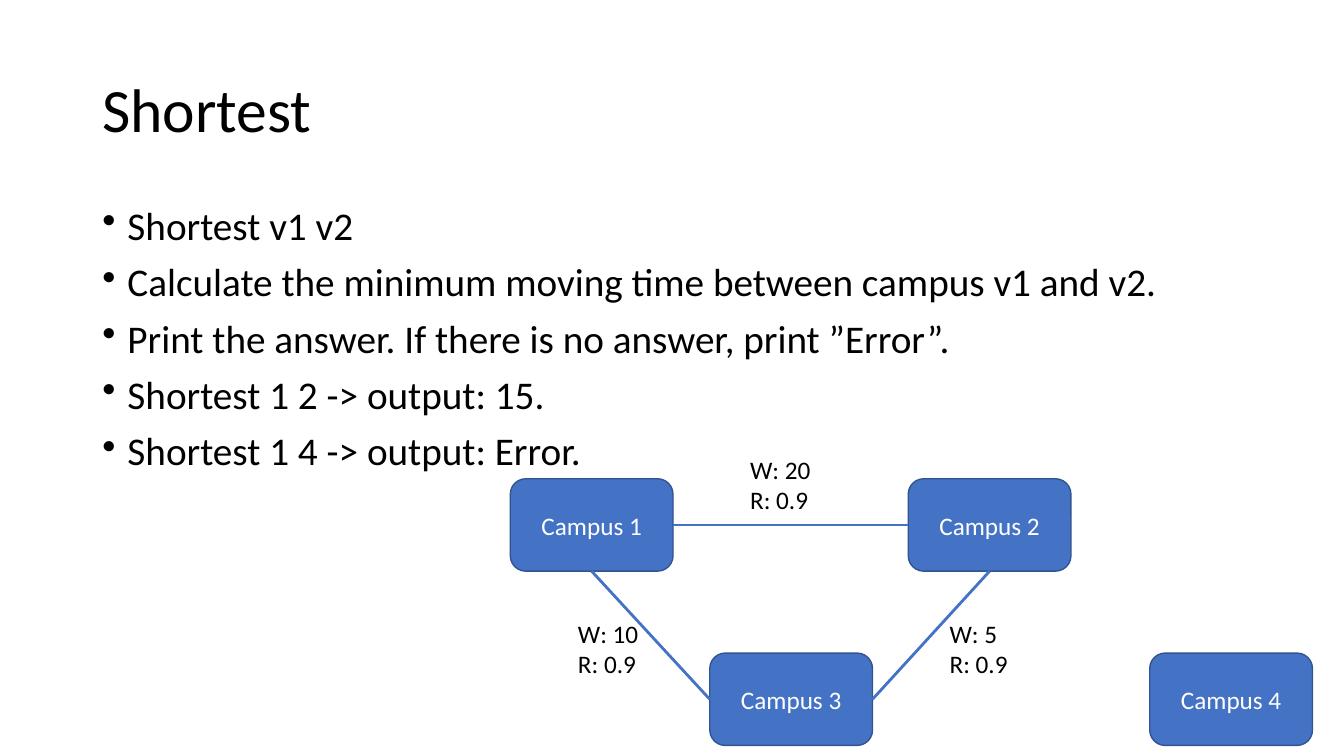
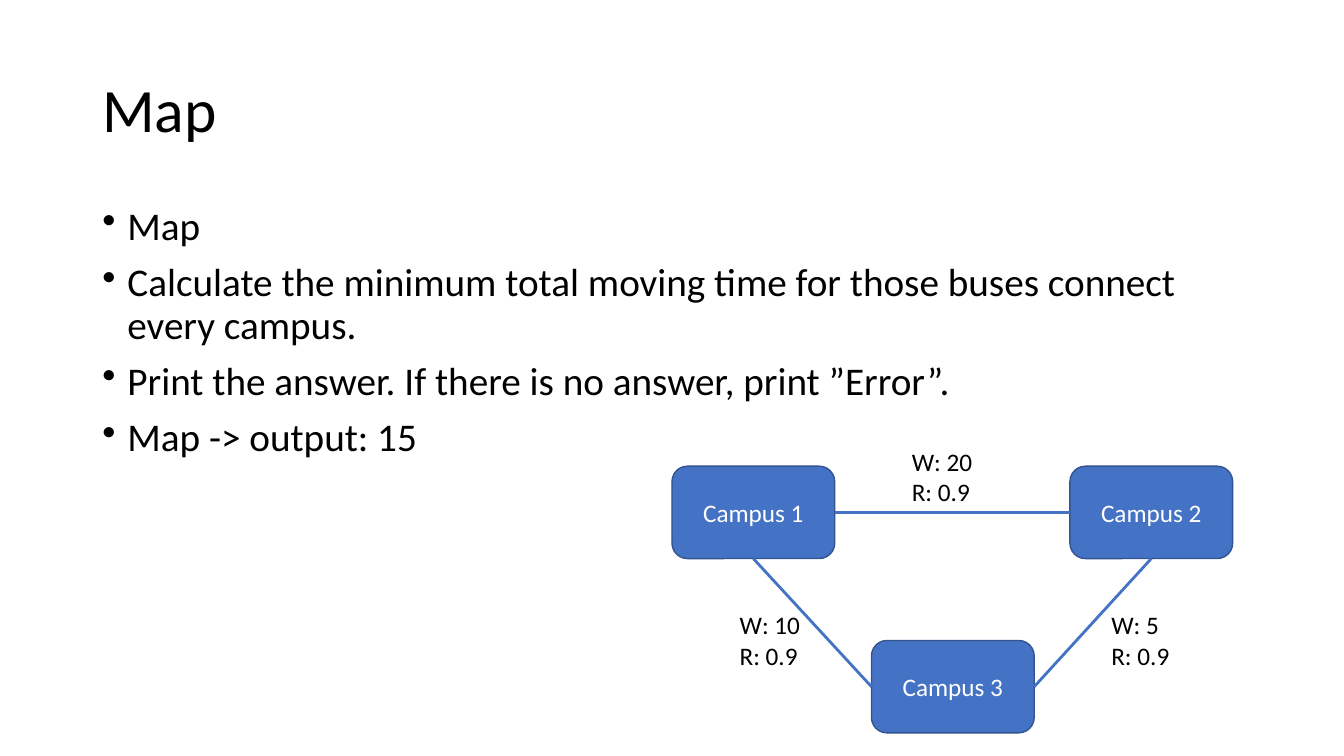
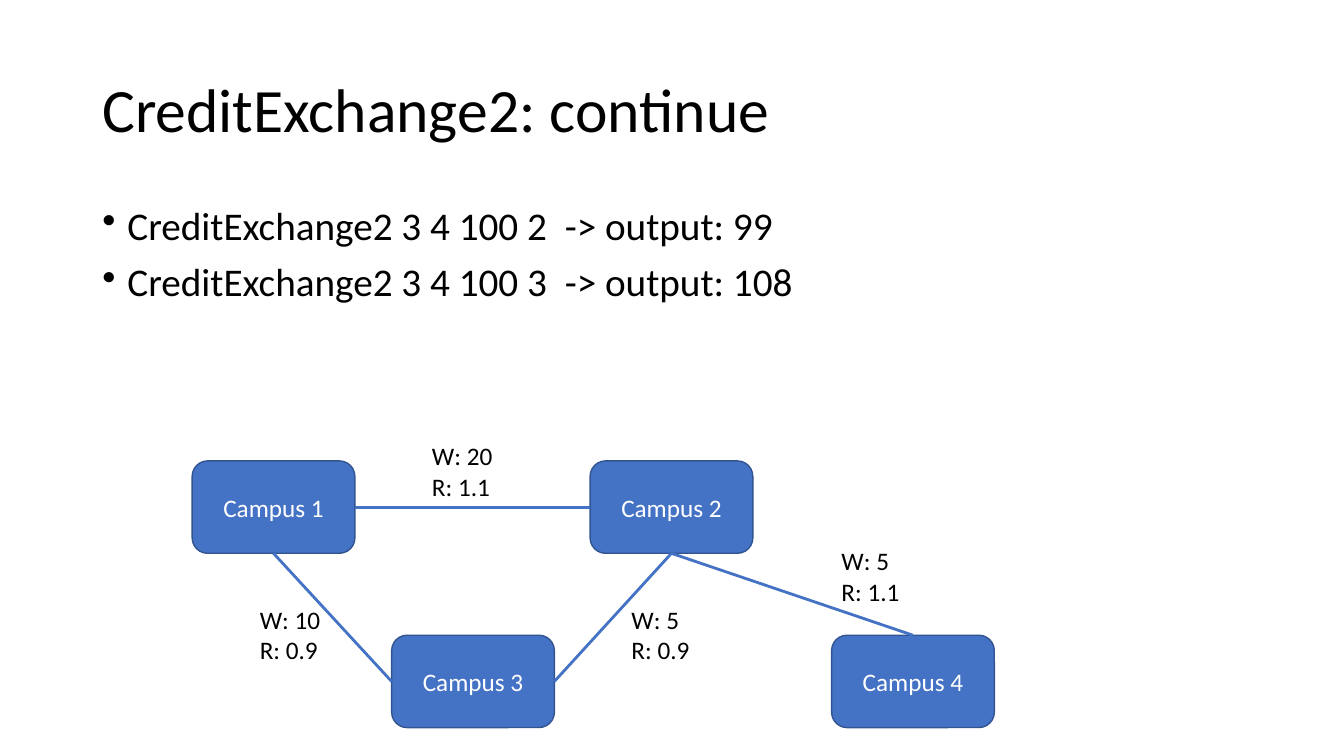
from dataclasses import dataclass

from lxml import etree
from pptx import Presentation
from pptx.dml.color import RGBColor
from pptx.enum.shapes import MSO_CONNECTOR, MSO_SHAPE
from pptx.enum.text import MSO_ANCHOR, PP_ALIGN
from pptx.oxml.ns import qn
from pptx.util import Emu, Pt

STRAIGHT = MSO_CONNECTOR.STRAIGHT
ROUNDED = MSO_SHAPE.ROUNDED_RECTANGLE
MIDDLE, TOP_ANCHOR = MSO_ANCHOR.MIDDLE, MSO_ANCHOR.TOP
CENTER, LEFT_ALIGN = PP_ALIGN.CENTER, PP_ALIGN.LEFT
TOP, LEFT, BOTTOM, RIGHT = range(4)


@dataclass(frozen=True)
class Theme:
    font: str = "Calibri"
    text: RGBColor = RGBColor(0x00, 0x00, 0x00)
    campus_text: RGBColor = RGBColor(0xFF, 0xFF, 0xFF)
    campus_fill: RGBColor = RGBColor(0x44, 0x72, 0xC4)
    campus_line: RGBColor = RGBColor(0x32, 0x54, 0x91)
    route: RGBColor = RGBColor(0x44, 0x72, 0xC4)
    title_size: int = 44
    body_size: int = 28
    graph_size: int = 18
    campus_line_width: int = 1
    route_width: int = 2
    line_spacing: float = 0.9
    bullet_gap: int = 10


THEME = Theme()
PX = 9525
SLIDE_SIZE = (1280, 720)
TITLE_BOX = (88, 38, 1104, 139)
BODY_BOX = (88, 192, 1104, 457)
BULLET_INDENT = 24
CAMPUS_SIZE = (155, 88)
LABEL_SIZE = (96, 68)

# Offsets from the top left corner of Campus 1
CAMPUS_OFFSETS = {1: (0, 0), 2: (379, 0), 3: (190, 166), 4: (609, 166)}

# (from, to): (side left, side reached, label offset)
ROUTES = {
    (2, 1): (LEFT, RIGHT, (219, -24)),
    (3, 1): (LEFT, BOTTOM, (55, 132)),
    (3, 2): (RIGHT, BOTTOM, (409, 132)),
    (4, 2): (TOP, BOTTOM, (609, 76)),
}


def px(*lengths):
    return [Emu(length * PX) for length in lengths]


def write_lines(frame, lines, size, color, anchor=TOP_ANCHOR, align=LEFT_ALIGN):
    """Put each line in its own paragraph and return the paragraphs."""
    frame.word_wrap = True
    frame.vertical_anchor = anchor
    for index, line in enumerate(lines):
        paragraph = frame.paragraphs[0] if index == 0 else frame.add_paragraph()
        paragraph.alignment = align
        run = paragraph.add_run()
        run.text = line
        run.font.name = THEME.font
        run.font.size = Pt(size)
        run.font.color.rgb = color
    return frame.paragraphs


def add_title(slide, box, title):
    frame = slide.shapes.add_textbox(*px(*box)).text_frame
    paragraphs = write_lines(frame, [title], THEME.title_size, THEME.text, MIDDLE)
    paragraphs[0].line_spacing = THEME.line_spacing


def add_bullets(slide, box, points):
    frame = slide.shapes.add_textbox(*px(*box)).text_frame
    for paragraph in write_lines(frame, points, THEME.body_size, THEME.text):
        paragraph.line_spacing = THEME.line_spacing
        paragraph.space_before = Pt(THEME.bullet_gap)
        properties = paragraph._p.get_or_add_pPr()
        properties.set("marL", str(BULLET_INDENT * PX))
        properties.set("indent", str(-BULLET_INDENT * PX))
        etree.SubElement(properties, qn("a:buChar")).set("char", "•")


def add_campus(slide, box, number):
    campus = slide.shapes.add_shape(ROUNDED, *px(*box))
    campus.shadow.inherit = False
    campus.fill.solid()
    campus.fill.fore_color.rgb = THEME.campus_fill
    campus.line.color.rgb = THEME.campus_line
    campus.line.width = Pt(THEME.campus_line_width)
    write_lines(campus.text_frame, [f"Campus {number}"], THEME.graph_size,
                THEME.campus_text, MIDDLE, CENTER)
    return campus


def add_route(slide, start, start_side, end, end_side):
    route = slide.shapes.add_connector(STRAIGHT, 0, 0, 0, 0)
    route.begin_connect(start, start_side)
    route.end_connect(end, end_side)
    route.line.color.rgb = THEME.route
    route.line.width = Pt(THEME.route_width)
    etree.SubElement(route._element.spPr, qn("a:effectLst"))


def add_campus_graph(slide, origin, numbers, weights, label_lift=0):
    """Draw campuses and their routes; weights maps a route to its (W, R)."""
    left, top = origin
    campuses = {}
    for number in numbers:
        dx, dy = CAMPUS_OFFSETS[number]
        campuses[number] = add_campus(
            slide, (left + dx, top + dy, *CAMPUS_SIZE), number)
    for (start, end), (moving_time, rate) in weights.items():
        start_side, end_side, (dx, dy) = ROUTES[start, end]
        add_route(slide, campuses[start], start_side, campuses[end], end_side)
        label = slide.shapes.add_textbox(
            *px(left + dx, top + dy - label_lift, *LABEL_SIZE))
        write_lines(label.text_frame, [f"W: {moving_time}", f"R: {rate}"],
                    THEME.graph_size, THEME.text)


def add_command_slide(deck, title, points, **graph):
    slide = deck.slides.add_slide(deck.slide_layouts[6])
    add_title(slide, TITLE_BOX, title)
    add_bullets(slide, BODY_BOX, points)
    add_campus_graph(slide, **graph)


def main():
    deck = Presentation()
    deck.slide_width, deck.slide_height = px(*SLIDE_SIZE)
    triangle = {(2, 1): (20, 0.9), (3, 1): (10, 0.9), (3, 2): (5, 0.9)}
    print_rule = "Print the answer. If there is no answer, print ”Error”."

    add_command_slide(
        deck, "Shortest",
        ["Shortest v1 v2",
         "Calculate the minimum moving time between campus v1 and v2.",
         print_rule,
         "Shortest 1 2 -> output: 15.",
         "Shortest 1 4 -> output: Error."],
        origin=(486, 456), numbers=(1, 2, 3, 4), weights=triangle, label_lift=4)
    add_command_slide(
        deck, "Map",
        ["Map",
         "Calculate the minimum total moving time for those buses connect "
         "every campus.",
         print_rule,
         "Map -> output: 15"],
        origin=(640, 444), numbers=(1, 2, 3), weights=triangle)
    add_command_slide(
        deck, "CreditExchange2: continue",
        ["CreditExchange2 3 4 100 2  -> output: 99",
         "CreditExchange2 3 4 100 3  -> output: 108"],
        origin=(183, 439), numbers=(1, 2, 3, 4),
        weights={**triangle, (2, 1): (20, 1.1), (4, 2): (5, 1.1)})

    deck.save("out.pptx")


if __name__ == "__main__":
    main()
